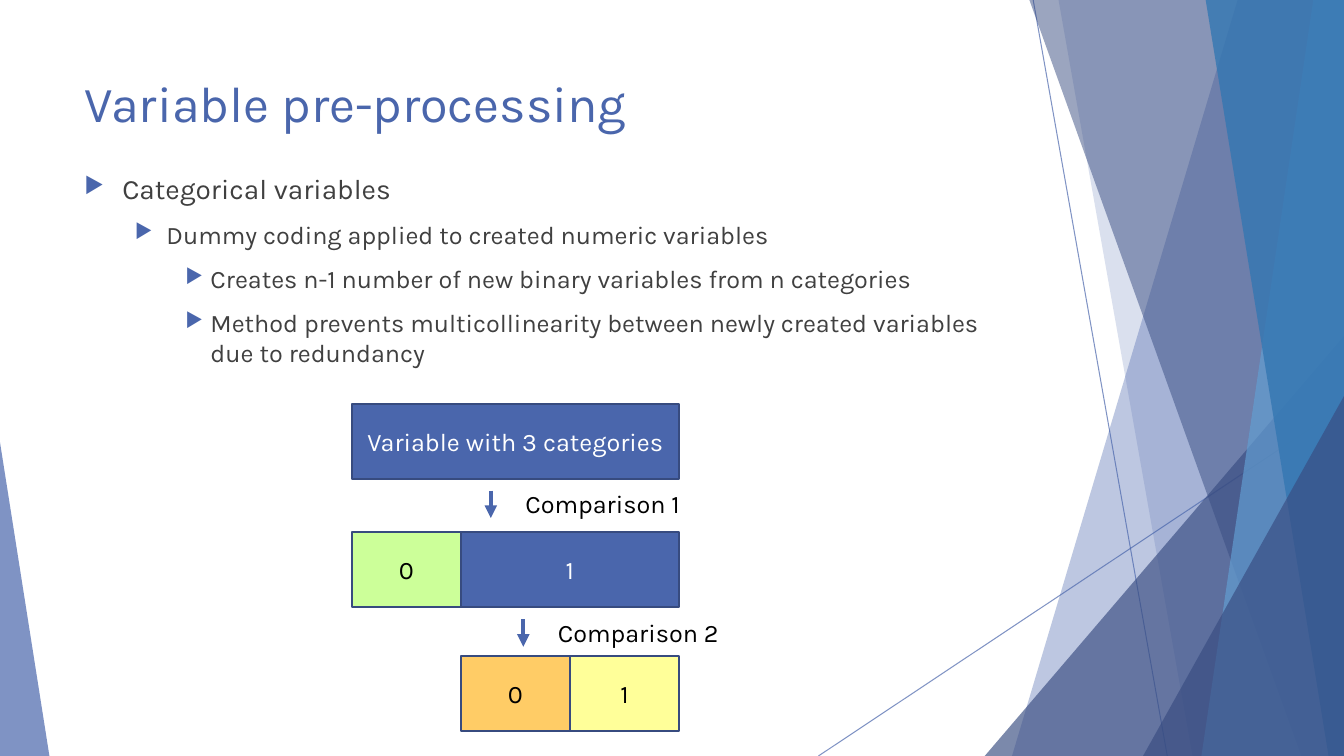
from dataclasses import dataclass

from lxml.etree import SubElement
from pptx import Presentation
from pptx.dml.color import RGBColor
from pptx.enum.shapes import MSO_CONNECTOR, MSO_SHAPE
from pptx.enum.text import MSO_ANCHOR, PP_ALIGN
from pptx.oxml.ns import qn
from pptx.util import Pt

SLIDE_WIDTH, SLIDE_HEIGHT = 960, 540
BAND_TOP = -0.6


@dataclass(frozen=True)
class Theme:
    font: str = "Karla"
    blue: str = "4A66AC"
    navy: str = "384C81"
    sky: str = "629DD1"
    ocean: str = "3477B2"
    outline: str = "374B7F"
    green: str = "CCFF99"
    orange: str = "FFCC66"
    yellow: str = "FFFF99"
    body: str = "404040"
    black: str = "000000"
    white: str = "FFFFFF"
    title_size: int = 36
    lead_size: int = 20
    text_size: int = 18


THEME = Theme()


@dataclass(frozen=True)
class Band:
    """A four-sided panel that reaches the right edge of the slide."""
    top_left: float
    bottom_left: float
    color: str
    opacity: int


@dataclass(frozen=True)
class Wedge:
    """A right triangle standing on the bottom edge; apex 0 is left, 1 is right."""
    left: float
    width: float
    height: float
    apex: int
    color: str
    opacity: int


@dataclass(frozen=True)
class Box:
    text: str
    column: int
    columns: int
    top: float
    fill: str
    color: str


@dataclass(frozen=True)
class Comparison:
    text: str
    arrow_x: float
    arrow_top: float


@dataclass(frozen=True)
class Bullet:
    text: str
    level: int
    margin: float
    hanging: float
    size: int


HAIRLINES = [((738, 0), (833.8, SLIDE_HEIGHT)),
             ((SLIDE_WIDTH, 290.2), (584.6, SLIDE_HEIGHT))]

DECOR = [
    Band(884.2, 722.9, THEME.blue, 36),
    Band(756, 851.8, THEME.blue, 20),
    Wedge(703.4, 256.6, 300, 1, THEME.navy, 66),
    Band(735.1, 929.5, THEME.navy, 50),
    Band(938.2, 858.2, THEME.sky, 70),
    Band(861.1, 949, THEME.ocean, 80),
    Wedge(816.5, 143.5, 257, 1, THEME.navy, 66),
    Wedge(0, 35.3, 224, 0, THEME.blue, 70),
]

DIAGRAM_LEFT, COLUMN_WIDTH, BOX_HEIGHT = 251.3, 77.9, 53.3
BOXES = [
    Box("Variable with 3 categories", 0, 3, 288.7, THEME.blue, THEME.white),
    Box("0", 0, 1, 380.2, THEME.green, THEME.black),
    Box("1", 1, 2, 380.2, THEME.blue, THEME.white),
    Box("1", 2, 1, 468.7, THEME.yellow, THEME.black),
    Box("0", 1, 1, 468.7, THEME.orange, THEME.black),
]
COMPARISONS = [Comparison("Comparison 1", 350.6, 350.4),
               Comparison("Comparison 2", 373.8, 442.4)]

BULLETS = [
    Bullet("Categorical variables", 0, 27, 27, THEME.lead_size),
    Bullet("Dummy coding applied to created numeric variables",
           1, 58.5, 22.5, THEME.text_size),
    Bullet("Creates n-1 number of new binary variables from n categories",
           2, 90, 18, THEME.text_size),
    Bullet("Method prevents multicollinearity between newly created variables "
           "due to redundancy", 2, 90, 18, THEME.text_size),
]


def write_text(paragraph, text: str, *, size: int = THEME.text_size,
               color: str = THEME.black, align=None) -> None:
    run = paragraph.add_run()
    run.text = text
    run.font.name = THEME.font
    run.font.size = Pt(size)
    run.font.color.rgb = RGBColor.from_string(color)
    paragraph.alignment = align


def add_text_frame(slide, left: float, top: float, width: float, height: float):
    frame = slide.shapes.add_textbox(Pt(left), Pt(top), Pt(width), Pt(height)).text_frame
    frame.word_wrap = True
    return frame


def set_opacity(shape, percent: int) -> None:
    color = next(shape.element.spPr.iter(qn("a:srgbClr")))
    SubElement(color, qn("a:alpha")).set("val", str(percent * 1000))


def fill_shape(shape, color: str) -> None:
    shape.shadow.inherit = False
    shape.fill.solid()
    shape.fill.fore_color.rgb = RGBColor.from_string(color)


def add_line(slide, start: tuple[float, float], end: tuple[float, float], width: float):
    line = slide.shapes.add_connector(
        MSO_CONNECTOR.STRAIGHT, *(Pt(value) for value in (*start, *end)))
    line.line.color.rgb = RGBColor.from_string(THEME.blue)
    line.line.width = Pt(width)
    SubElement(line.element.spPr, qn("a:effectLst"))
    return line


def add_decor(slide, item: Band | Wedge) -> None:
    if isinstance(item, Band):
        builder = slide.shapes.build_freeform(Pt(item.top_left), Pt(BAND_TOP))
        corners = [(SLIDE_WIDTH, BAND_TOP), (SLIDE_WIDTH, SLIDE_HEIGHT),
                   (item.bottom_left, SLIDE_HEIGHT)]
        builder.add_line_segments([(Pt(x), Pt(y)) for x, y in corners], close=True)
        shape = builder.convert_to_shape()
    else:
        shape = slide.shapes.add_shape(
            MSO_SHAPE.ISOSCELES_TRIANGLE, Pt(item.left), Pt(SLIDE_HEIGHT - item.height),
            Pt(item.width), Pt(item.height))
        shape.adjustments[0] = item.apex
    fill_shape(shape, item.color)
    set_opacity(shape, item.opacity)
    shape.line.fill.background()


def add_box(slide, box: Box) -> None:
    shape = slide.shapes.add_shape(
        MSO_SHAPE.RECTANGLE, Pt(DIAGRAM_LEFT + box.column * COLUMN_WIDTH), Pt(box.top),
        Pt(box.columns * COLUMN_WIDTH), Pt(BOX_HEIGHT))
    fill_shape(shape, box.fill)
    shape.line.color.rgb = RGBColor.from_string(THEME.outline)
    shape.line.width = Pt(1.5)
    shape.text_frame.word_wrap = True
    shape.text_frame.vertical_anchor = MSO_ANCHOR.MIDDLE
    write_text(shape.text_frame.paragraphs[0], box.text, color=box.color,
               align=PP_ALIGN.CENTER)


def add_comparison(slide, comparison: Comparison) -> None:
    x, top = comparison.arrow_x, comparison.arrow_top
    arrow = add_line(slide, (x, top), (x, top + 19.6), 3)
    SubElement(arrow.line._get_or_add_ln(), qn("a:tailEnd")).set("type", "triangle")
    frame = add_text_frame(slide, x + 17.6, top - 5, 214.6, 29)
    write_text(frame.paragraphs[0], comparison.text)


def add_bullets(slide, bullets: list[Bullet]) -> None:
    frame = add_text_frame(slide, 53.3, 118.8, 660.2, 205.2)
    for index, bullet in enumerate(bullets):
        paragraph = frame.add_paragraph() if index else frame.paragraphs[0]
        paragraph.level = bullet.level
        paragraph.space_before = Pt(10)
        write_text(paragraph, bullet.text, size=bullet.size, color=THEME.body)
        properties = paragraph._p.get_or_add_pPr()
        properties.set("marL", str(Pt(bullet.margin)))
        properties.set("indent", str(Pt(-bullet.hanging)))
        marker_color = SubElement(properties, qn("a:buClr"))
        SubElement(marker_color, qn("a:srgbClr")).set("val", THEME.blue)
        SubElement(properties, qn("a:buSzPct")).set("val", "80000")
        SubElement(properties, qn("a:buChar")).set("char", "▶")


def main() -> None:
    presentation = Presentation()
    presentation.slide_width = Pt(SLIDE_WIDTH)
    presentation.slide_height = Pt(SLIDE_HEIGHT)
    slide = presentation.slides.add_slide(presentation.slide_layouts[6])
    for start, end in HAIRLINES:
        set_opacity(add_line(slide, start, end, 0.75), 70)
    for item in DECOR:
        add_decor(slide, item)
    title = add_text_frame(slide, 53.3, 48.2, 676.8, 68.4)
    write_text(title.paragraphs[0], "Variable pre-processing",
               size=THEME.title_size, color=THEME.blue)
    for box in BOXES:
        add_box(slide, box)
    for comparison in COMPARISONS:
        add_comparison(slide, comparison)
    add_bullets(slide, BULLETS)
    presentation.save("out.pptx")


if __name__ == "__main__":
    main()
